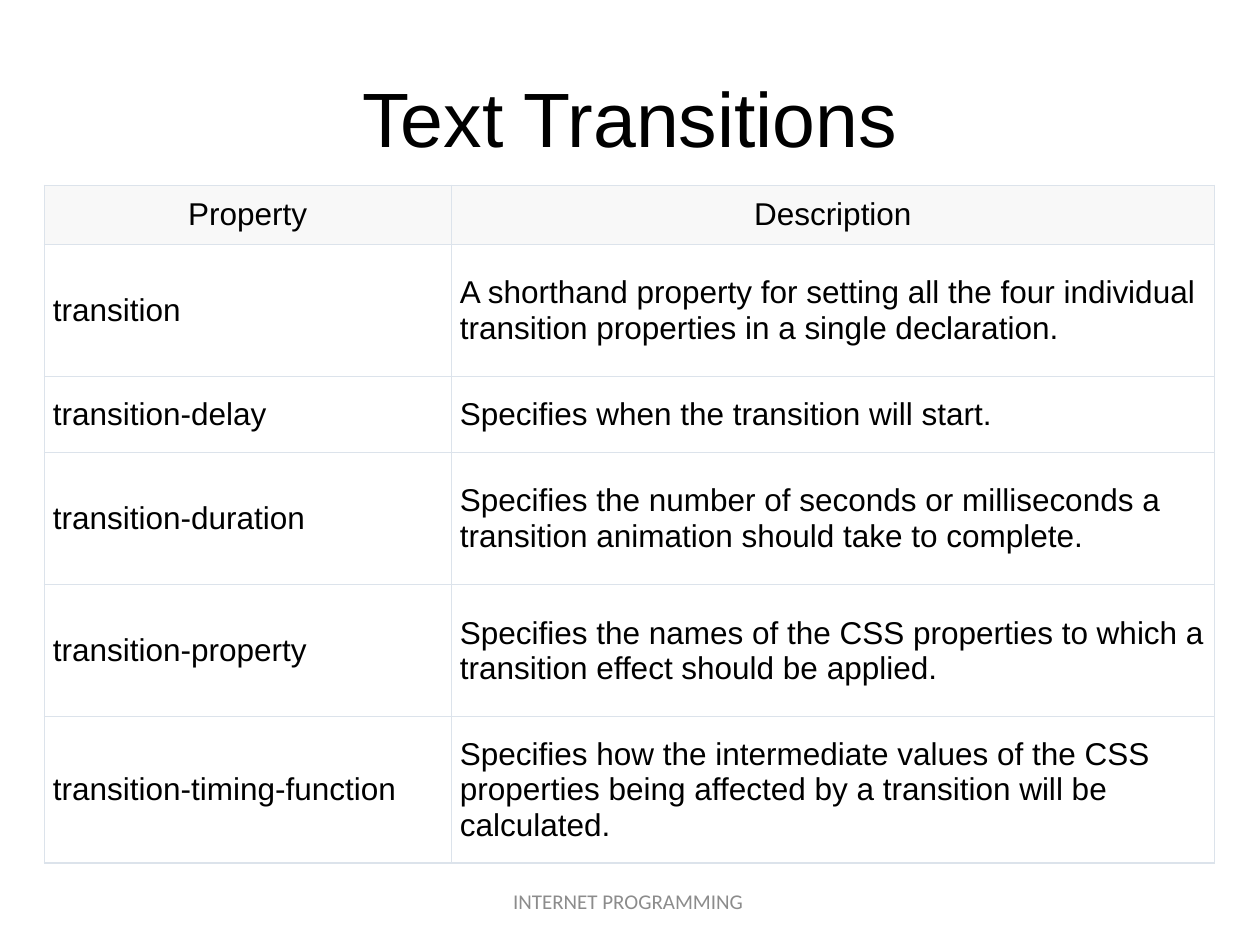
from lxml.etree import SubElement
from pptx import Presentation
from pptx.dml.color import RGBColor
from pptx.enum.text import MSO_ANCHOR, PP_ALIGN
from pptx.oxml.ns import qn
from pptx.util import Inches, Pt

TITLE = "Text Transitions"
FOOTER = "INTERNET PROGRAMMING "
HEADER = ("Property", "Description")
PROPERTIES = [
    ("transition", "A shorthand property for setting all the four individual "
                   "transition properties in a single declaration."),
    ("transition-delay", "Specifies when the transition will start."),
    ("transition-duration", "Specifies the number of seconds or milliseconds a "
                            "transition animation should take to complete."),
    ("transition-property", "Specifies the names of the CSS properties to which a "
                            "transition effect should be applied."),
    ("transition-timing-function", "Specifies how the intermediate values of the CSS "
                                   "properties being affected by a transition "
                                   "will be calculated."),
]
COLUMN_WIDTHS = (3.23, 6.06)
ROW_HEIGHTS = (0.47, 1.05, 0.6, 1.05, 1.05, 1.16)

BLACK = RGBColor(0x00, 0x00, 0x00)
WHITE = RGBColor(0xFF, 0xFF, 0xFF)
HEADER_FILL = RGBColor(0xF8, 0xF8, 0xF8)
BORDER = RGBColor(0xDC, 0xE3, 0xEB)
FOOTER_GRAY = RGBColor(0x8C, 0x8C, 0x8C)


def write(frame, text, size, font, color, align):
    frame.text = text
    frame.word_wrap = True
    para = frame.paragraphs[0]
    para.alignment = align
    span = para.runs[0].font
    span.size, span.name, span.color.rgb = Pt(size), font, color


def add_borders(cell):
    """Draw a thin line on all four sides; the lines must precede the fill."""
    properties = cell._tc.get_or_add_tcPr()
    for position, side in enumerate(("lnL", "lnR", "lnT", "lnB")):
        line = SubElement(properties, qn(f"a:{side}"), w=str(Pt(0.75)))
        fill = SubElement(line, qn("a:solidFill"))
        SubElement(fill, qn("a:srgbClr"), val=str(BORDER))
        properties.insert(position, line)


def add_property_table(slide):
    rows = [HEADER, *PROPERTIES]
    table = slide.shapes.add_table(
        len(rows), len(HEADER), Inches(0.35), Inches(1.47),
        Inches(sum(COLUMN_WIDTHS)), Inches(sum(ROW_HEIGHTS))).table
    for column, width in zip(table.columns, COLUMN_WIDTHS):
        column.width = Inches(width)
    for row, height in zip(table.rows, ROW_HEIGHTS):
        row.height = Inches(height)
    table.horz_banding = False

    for row_index, texts in enumerate(rows):
        is_header = row_index == 0
        for column_index, text in enumerate(texts):
            cell = table.cell(row_index, column_index)
            cell.vertical_anchor = MSO_ANCHOR.MIDDLE
            cell.margin_left = cell.margin_right = Inches(0.07)
            cell.margin_top = cell.margin_bottom = Inches(0.08 if is_header else 0.05)
            cell.fill.solid()
            cell.fill.fore_color.rgb = HEADER_FILL if is_header else WHITE
            add_borders(cell)
            write(cell.text_frame, text, 18, "Arial", BLACK,
                  PP_ALIGN.CENTER if is_header else PP_ALIGN.LEFT)
            cell.text_frame.paragraphs[0].runs[0].font.bold = False


def main():
    deck = Presentation()
    deck.slide_width, deck.slide_height = Inches(10), Inches(7.5)
    slide = deck.slides.add_slide(deck.slide_layouts[5])

    title = slide.shapes.title
    title.left, title.top = Inches(0.5), Inches(0.3)
    title.width, title.height = Inches(9), Inches(1.25)
    title.text_frame.vertical_anchor = MSO_ANCHOR.MIDDLE
    write(title.text_frame, TITLE, 44, "Arial", BLACK, PP_ALIGN.CENTER)

    add_property_table(slide)

    footer = slide.shapes.add_textbox(Inches(3.42), Inches(6.95), Inches(3.17), Inches(0.4))
    footer.text_frame.vertical_anchor = MSO_ANCHOR.MIDDLE
    write(footer.text_frame, FOOTER, 12, "Calibri", FOOTER_GRAY, PP_ALIGN.CENTER)

    deck.save("out.pptx")


if __name__ == "__main__":
    main()
